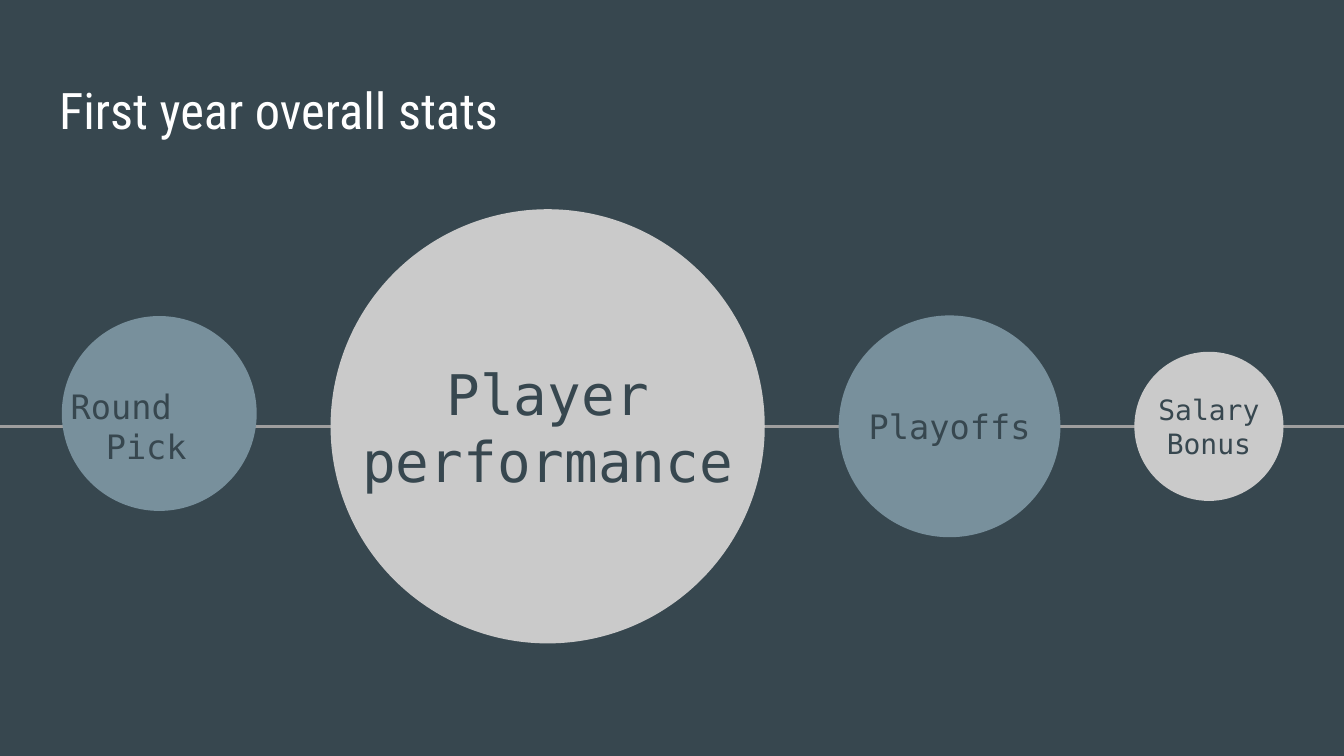
from pptx import Presentation
from pptx.dml.color import RGBColor
from pptx.enum.shapes import MSO_CONNECTOR, MSO_SHAPE
from pptx.enum.text import MSO_ANCHOR, MSO_AUTO_SIZE, PP_ALIGN
from pptx.oxml.ns import qn
from pptx.util import Pt
from lxml import etree

OVAL, STRAIGHT = MSO_SHAPE.OVAL, MSO_CONNECTOR.STRAIGHT
TOP, MIDDLE = MSO_ANCHOR.TOP, MSO_ANCHOR.MIDDLE
LEFT, CENTER = PP_ALIGN.LEFT, PP_ALIGN.CENTER

# Content: label, diameter, fill, type size, and any departures from the rule
TITLE = "First year overall stats"
STATS = [
    {"label": "Round\vPick", "diameter": 104.4, "fill": "blue", "size": "medium",
     "rise": 6.9, "label_box": (26.6, 131), "stagger": (4.2, 23)},
    {"label": "Player performance", "diameter": 232.6, "fill": "grey", "size": "large"},
    {"label": "Playoffs", "diameter": 118.8, "fill": "blue", "size": "medium"},
    {"label": "Salary Bonus", "diameter": 79.9, "fill": "grey", "size": "small"},
]

THEME = {
    "dark": RGBColor.from_string("37474F"),
    "blue": RGBColor.from_string("78909C"),
    "grey": RGBColor.from_string("CACACA"),
    "line": RGBColor.from_string("9E9E9E"),
    "white": RGBColor.from_string("FFFFFF"),
    "title_font": "Roboto Condensed",
    "label_font": "DejaVu Sans Mono",
    "title": 27, "large": 30, "medium": 18, "small": 15,
}

# Layout
WIDTH, HEIGHT = 720, 405
AXIS_Y = 228.4
FIRST_LEFT, GAP = 33.1, 39.6
LABEL_HEIGHT = 47.5
INSET = 7.2


def set_text(frame, text, font_name, size, color, anchor, align):
    frame.text = text
    frame.word_wrap = True
    frame.auto_size = MSO_AUTO_SIZE.NONE
    frame.vertical_anchor = anchor
    frame.margin_left = frame.margin_right = Pt(INSET)
    frame.margin_top = frame.margin_bottom = Pt(INSET)
    paragraph = frame.paragraphs[0]
    paragraph.alignment = align
    for run in paragraph.runs:
        run.font.name = THEME[font_name]
        run.font.size = Pt(THEME[size])
        run.font.color.rgb = THEME[color]
    return paragraph


def add_axis(slide):
    axis = slide.shapes.add_connector(STRAIGHT, Pt(0), Pt(AXIS_Y), Pt(WIDTH), Pt(AXIS_Y))
    axis.line.color.rgb = THEME["line"]
    axis.line.width = Pt(1.5)
    etree.SubElement(axis._element.spPr, qn("a:effectLst"))


def add_stat(slide, stat, left):
    # Circle on the axis
    diameter = stat["diameter"]
    top = AXIS_Y - diameter / 2 - stat.get("rise", 0)
    circle = slide.shapes.add_shape(OVAL, Pt(left), Pt(top), Pt(diameter), Pt(diameter))
    circle.shadow.inherit = False
    circle.fill.solid()
    circle.fill.fore_color.rgb = THEME[stat["fill"]]
    circle.line.fill.background()

    # Label centred on the axis
    label_left, label_width = stat.get("label_box", (left, diameter))
    label = slide.shapes.add_textbox(Pt(label_left), Pt(AXIS_Y - LABEL_HEIGHT / 2),
                                     Pt(label_width), Pt(LABEL_HEIGHT))
    align = LEFT if "stagger" in stat else CENTER
    paragraph = set_text(label.text_frame, stat["label"], "label_font", stat["size"],
                         "dark", MIDDLE, align)
    if "stagger" in stat:
        first, second = stat["stagger"]
        properties = paragraph._p.get_or_add_pPr()
        properties.set("marL", str(int(Pt(second))))
        properties.set("indent", str(int(Pt(first - second))))


def main():
    deck = Presentation()
    deck.slide_width, deck.slide_height = Pt(WIDTH), Pt(HEIGHT)
    slide = deck.slides.add_slide(deck.slide_layouts[5])
    slide.background.fill.solid()
    slide.background.fill.fore_color.rgb = THEME["dark"]

    # Title
    title = slide.shapes.title
    title.left, title.top, title.width, title.height = Pt(24.5), Pt(35.3), Pt(671), Pt(45.4)
    set_text(title.text_frame, TITLE, "title_font", "title", "white", TOP, LEFT)

    # Axis, then circles at equal gaps along it
    add_axis(slide)
    left = FIRST_LEFT
    for stat in STATS:
        add_stat(slide, stat, left)
        left += stat["diameter"] + GAP

    deck.save("out.pptx")


if __name__ == "__main__":
    main()
